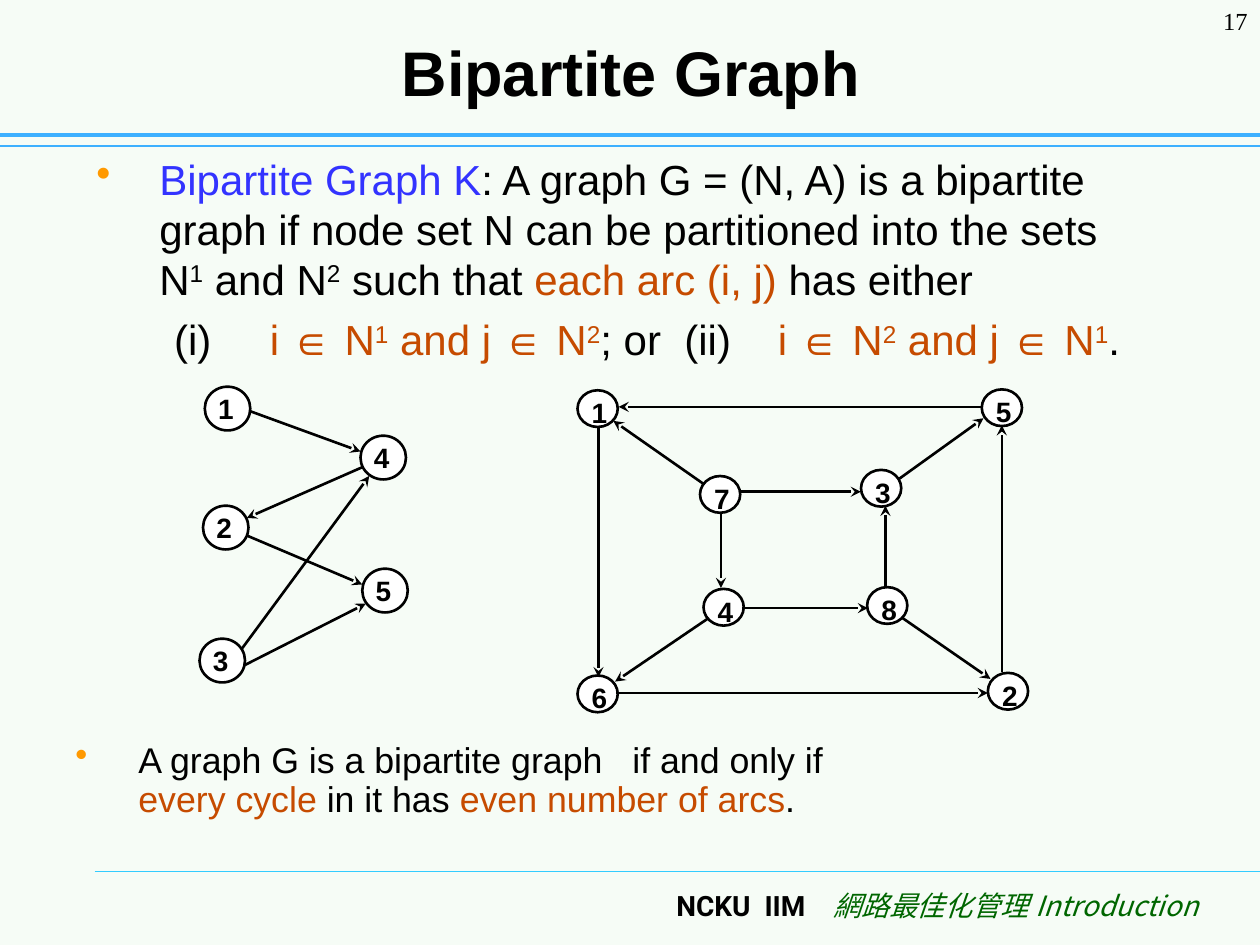
"""Build the Bipartite Graph slide with its two node diagrams."""
from lxml import etree
from pptx import Presentation
from pptx.dml.color import RGBColor
from pptx.enum.shapes import MSO_CONNECTOR, MSO_SHAPE
from pptx.enum.text import MSO_ANCHOR, PP_ALIGN
from pptx.oxml.ns import qn
from pptx.util import Pt

STRAIGHT, OVAL = MSO_CONNECTOR.STRAIGHT, MSO_SHAPE.OVAL
CENTER, RIGHT, MIDDLE = PP_ALIGN.CENTER, PP_ALIGN.RIGHT, MSO_ANCHOR.MIDDLE
BLACK, BLUE, RUST, GREEN = "000000", "3333FF", "C64B00", "006600"
SUPER = {"baseline": "30000"}
rgb = RGBColor.from_string


def add_line(start, end, colour, width, arrow=False):
    line = page.shapes.add_connector(STRAIGHT, *map(Pt, start + end))
    line.line.color.rgb = rgb(colour)
    line.line.width = Pt(width)
    properties = line._element.spPr
    if arrow:
        etree.SubElement(properties.find(qn("a:ln")), qn("a:tailEnd"), type="stealth")
    etree.SubElement(properties, qn("a:effectLst"))


def add_text(at, size, font, *lines, wrap=True):
    frame = page.shapes.add_textbox(*map(Pt, at)).text_frame
    frame.word_wrap = wrap
    for number, spans in enumerate(lines):
        para = frame.add_paragraph() if number else frame.paragraphs[0]
        para.font.size = Pt(size)
        para.font.name = font
        for text, colour, attributes in spans:
            if text == "\n":
                para.add_line_break()
                continue
            span = para.add_run()
            span.text = text
            span.font.color.rgb = rgb(colour)
            for name, value in attributes.items():
                span._r.get_or_add_rPr().set(name, value)
    return frame


deck = Presentation()
deck.slide_width, deck.slide_height = Pt(720), Pt(540)
page = deck.slides.add_slide(deck.slide_layouts[5])
page.background.fill.solid()
page.background.fill.fore_color.rgb = rgb("F6FCF6")

add_line((54, 498), (720, 498), "33CCFF", 0.75)
add_line((0, 83.5), (720, 83.5), "3DB0FF", 0.75)
add_line((0, 77), (720, 77), "3DB0FF", 2.5)

title = page.shapes.title
title.left, title.top, title.width, title.height = Pt(36.5), Pt(9.5), Pt(648), Pt(62.5)
title.text_frame.text = "Bipartite Graph"
title.text_frame.vertical_anchor = MIDDLE
para = title.text_frame.paragraphs[0]
para.alignment = CENTER
para.font.name, para.font.size, para.font.bold = "Arial", Pt(36), True
para.font.color.rgb = rgb(BLACK)

number = add_text((660, 0, 60, 36), 14, "Times New Roman", [("17", BLACK, {})])
number.paragraphs[0].alignment = RIGHT

footer = add_text((132, 504, 560, 36), 16, "Roboto", [
    ("NCKU", BLACK, {"b": "1"}), (" ", BLACK, {"spc": "400"}),
    ("IIM", BLACK, {"b": "1"}), (" ", BLACK, {"spc": "1200"}),
    ("網路最佳化管理 Introduction", GREEN, {"i": "1"}),
])
footer.paragraphs[0].alignment = RIGHT
course = footer.paragraphs[0].runs[-1]
course.font.name = "Noto Sans CJK SC"
etree.SubElement(course._r.rPr, qn("a:ea"), typeface="Noto Sans CJK SC")

definition = add_text((48, 84.5, 612, 134.5), 24, "Arial", [
    ("Bipartite Graph K", BLUE, {}),
    (": A graph G = (N, A) is a bipartite graph if node set N can be "
     "partitioned into the sets N", BLACK, {}),
    ("1", BLACK, SUPER), (" and N", BLACK, {}), ("2", BLACK, SUPER),
    (" such that ", BLACK, {}), ("each arc (i, j)", RUST, {}), (" has either", BLACK, {}),
], [
    ("(i)", BLACK, {}), (" ", BLACK, {"spc": "2670"}),
    ("i ∈ N", RUST, {}), ("1", RUST, SUPER), (" and j ∈ N", RUST, {}), ("2", RUST, SUPER),
    ("; or", BLACK, {}), (" ", BLACK, {"spc": "670"}),
    ("(ii)", BLACK, {}), (" ", BLACK, {"spc": "2000"}),
    ("i ∈ N", RUST, {}), ("2", RUST, SUPER), (" and j ∈ N", RUST, {}), ("1", RUST, SUPER),
    (".", BLACK, {}),
])
theorem = add_text((36, 420, 612, 59), 20.4, "Arial", [
    ("A graph G is a bipartite graph", BLACK, {}), (" ", BLACK, {"spc": "1130"}),
    ("if and only if", BLACK, {}), ("\n", BLACK, {}),
    ("every cycle", RUST, {}), (" in it has ", BLACK, {}),
    ("even number of arcs", RUST, {}), (".", BLACK, {}),
])
for frame, spacing in ((definition, 28.5), (theorem, 22.3)):
    para = frame.paragraphs[0]
    properties = para._p.get_or_add_pPr()
    properties.set("marL", str(Pt(36)))
    properties.set("indent", str(Pt(-36)))
    bullet_colour = etree.Element(qn("a:buClr"))
    etree.SubElement(bullet_colour, qn("a:srgbClr"), val="FF9900")
    properties.insert(0, bullet_colour)
    properties.insert(1, etree.Element(qn("a:buChar"), char="•"))
    for para in frame.paragraphs:
        para.line_spacing = Pt(spacing)
cases = definition.paragraphs[1]
cases.space_before = Pt(6)
cases._p.get_or_add_pPr().set("marL", str(Pt(65.5)))
cases._p.get_or_add_pPr().set("indent", str(Pt(-21)))

small_graph = {
    "size": (26, 25), "label_shift": (0.5, -1),
    "nodes": {"1": (117, 221), "2": (116, 289), "3": (114, 365),
              "4": (206, 249), "5": (207, 325)},
    "arcs": [((143, 235), (206, 258)), ((207, 267), (141, 296)), ((141, 306), (207, 334)),
             ((140, 380), (209, 345)), ((138, 371), (211, 272))],
}
large_graph = {
    "size": (23, 21), "label_shift": (1, -0.5),
    "nodes": {"1": (330, 223), "2": (564.5, 384.5), "3": (492, 268.5), "4": (402, 336.5),
              "5": (561, 222.5), "6": (330, 386), "7": (400, 272), "8": (495.5, 335.5)},
    "arcs": [((424, 347.5), (496, 347.5)), ((506, 336), (506, 289)),
             ((423.5, 281), (492, 281)), ((412, 293), (412, 336)),
             ((352, 396), (564.5, 396)), ((572.5, 384), (572.5, 243)),
             ((561, 232.5), (353.5, 232.5)), ((342, 244), (342, 387)),
             ((515.5, 353), (566, 388)), ((514, 273.5), (562, 239)),
             ((402, 276.5), (350.5, 240.5)), ((404.5, 353.5), (351.5, 389.5))],
}
for graph in (large_graph, small_graph):
    shift_x, shift_y = graph["label_shift"]
    for name, (left, top) in graph["nodes"].items():
        node = page.shapes.add_shape(OVAL, *map(Pt, (left, top) + graph["size"]))
        node.shadow.inherit = False
        node.fill.solid()
        node.fill.fore_color.rgb = rgb("FFFFFF")
        node.line.color.rgb = rgb(BLACK)
        node.line.width = Pt(1.5)
        add_text((left + shift_x, top + shift_y, 23, 26.5), 16, "Arial",
                 [(name, BLACK, {"b": "1"})], wrap=False)
    for start, end in graph["arcs"]:
        add_line(start, end, BLACK, 1.5, arrow=True)

deck.save("out.pptx")
